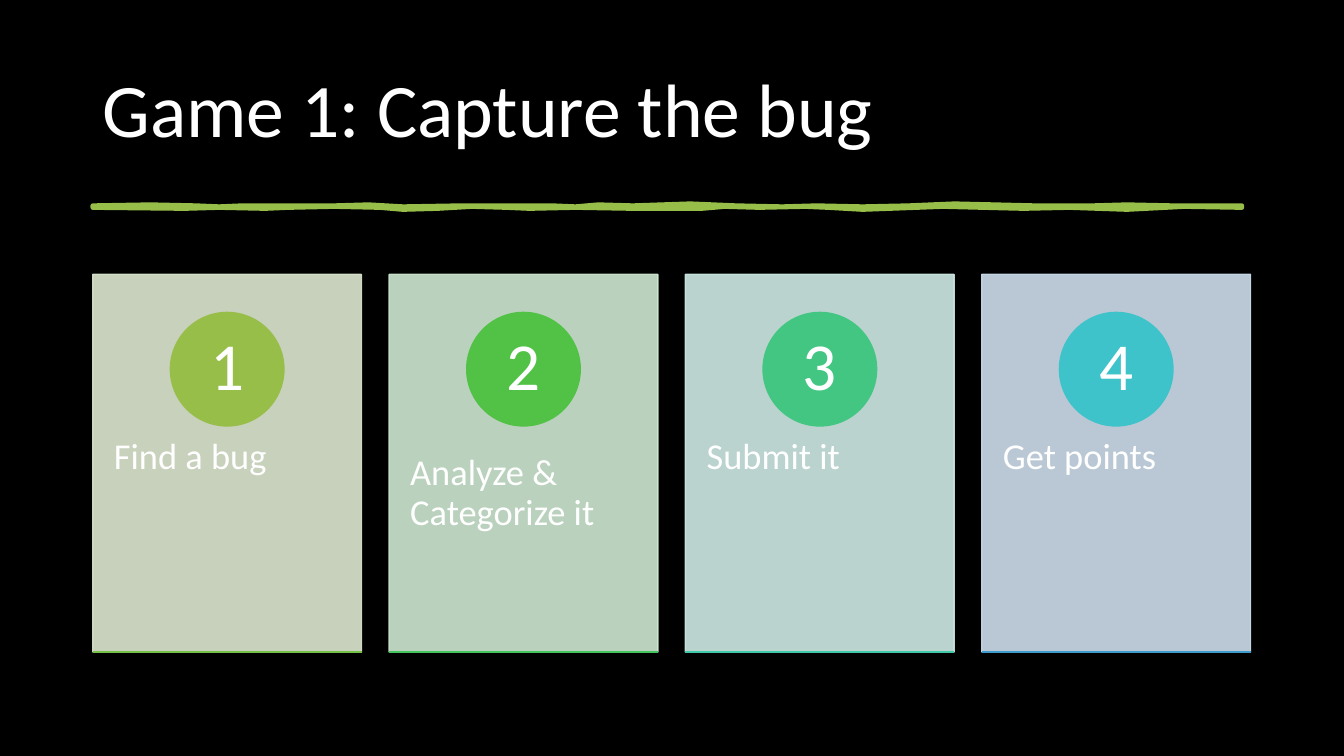
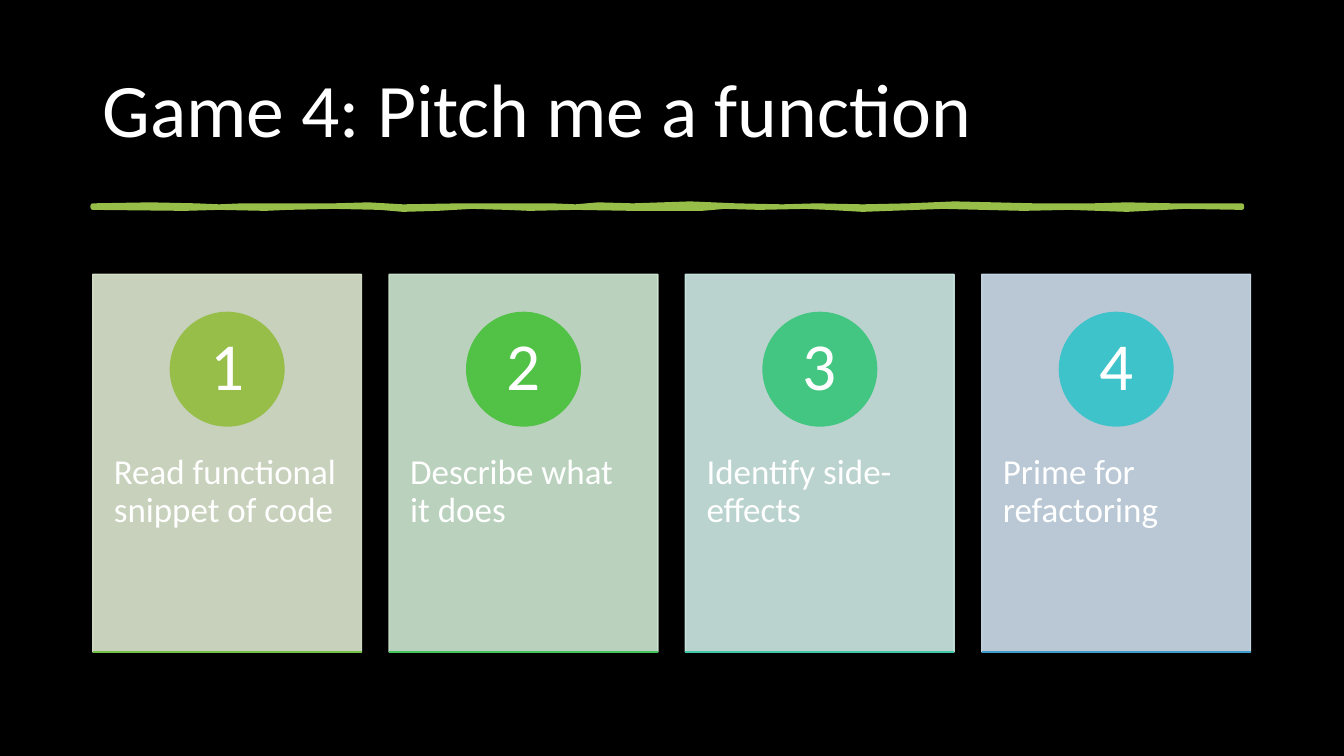
from lxml import etree
from pptx import Presentation
from pptx.dml.color import RGBColor
from pptx.enum.shapes import MSO_CONNECTOR, MSO_SHAPE
from pptx.enum.text import MSO_ANCHOR, PP_ALIGN
from pptx.oxml.ns import qn
from pptx.util import Inches, Pt

RECTANGLE, OVAL = MSO_SHAPE.RECTANGLE, MSO_SHAPE.OVAL
STRAIGHT = MSO_CONNECTOR.STRAIGHT
LEFT, CENTER = PP_ALIGN.LEFT, PP_ALIGN.CENTER
TOP, MIDDLE = MSO_ANCHOR.TOP, MSO_ANCHOR.MIDDLE

# Card fill, circle and base line of each step
STEP_COLORS = [
    ("DDE8D0", "97BE49", "75C047"),
    ("CFE9D2", "51C246", "44C45C"),
    ("CFEBE5", "42C681", "40C8A8"),
    ("CEDEEC", "3FC3CA", "3D9CCC"),
]

# Edges of the hand-drawn rule: percent of its length, steps of its height
RULE_UPPER = [
    (0, 0), (5, -1), (9, 0), (11, 1), (13, 0), (21, 0), (24, -1), (27, 1),
    (32, 0), (40, 0), (42, 1), (44, -1), (47, 0), (52, -2), (56, 0), (60, 1),
    (63, 0), (67, 1), (71, 0), (75, -2), (82, 0), (87, 0), (90, -1), (94, 0),
    (100, 0),
]
RULE_LOWER = [
    (100, 2), (95, 1), (90, 4), (85, 2), (81, 3), (74, 1), (67, 4), (64, 2),
    (62, 1), (58, 2), (55, 1), (53, 3), (47, 3), (42, 2), (38, 3), (36, 2),
    (33, 1), (30, 3), (27, 4), (25, 2), (21, 1), (17, 2), (15, 3), (11, 2),
    (8, 3), (0, 2),
]


def color(value):
    return RGBColor.from_string(value)


def set_opacity(solid_fill, percent):
    alpha = etree.SubElement(solid_fill[0], qn("a:alpha"))
    alpha.set("val", str(percent * 1000))


class Deck:
    """Style and current slide; all places are percentages of the slide size."""

    FONT = "Calibri"
    BACKGROUND, TEXT, ACCENT = "000000", "FFFFFF", "97BE49"
    MARGIN, COLUMN, PITCH = 6.9, 20, 22.05
    CARD_TOP, CARD_BOTTOM = 36.3, 86.25

    def __init__(self):
        self.presentation = Presentation()
        self.presentation.slide_width = Inches(13.33)
        self.presentation.slide_height = Inches(7.5)
        self.slide = None

    def x(self, percent):
        return round(self.presentation.slide_width * percent / 100)

    def y(self, percent):
        return round(self.presentation.slide_height * percent / 100)

    def box(self, left, top, width, height):
        return self.x(left), self.y(top), self.x(width), self.y(height)

    def add_slide(self, title):
        self.slide = self.presentation.slides.add_slide(
            self.presentation.slide_layouts[6])
        fill = self.slide.background.fill
        fill.solid()
        fill.fore_color.rgb = color(self.BACKGROUND)
        self.text((self.MARGIN, 5.33, 86.25, 19.33), title, 54, anchor=MIDDLE)
        self.rule()

    def set_text(self, shape, text, size, align=LEFT, anchor=TOP, insets=(0.1, 0.05)):
        frame = shape.text_frame
        frame.word_wrap = True
        frame.vertical_anchor = anchor
        frame.margin_left = frame.margin_right = Inches(insets[0])
        frame.margin_top = frame.margin_bottom = Inches(insets[1])
        frame.text = text
        paragraph = frame.paragraphs[0]
        paragraph.alignment = align
        paragraph.line_spacing = 0.9
        font = paragraph.runs[0].font
        font.name, font.size = self.FONT, Pt(size)
        font.color.rgb = color(self.TEXT)

    def text(self, place, text, size, **layout):
        self.set_text(self.slide.shapes.add_textbox(*self.box(*place)),
                      text, size, **layout)

    def paint(self, shape, value, line_width=1, opacity=100):
        shape.shadow.inherit = False
        shape.fill.solid()
        shape.fill.fore_color.rgb = color(value)
        shape.line.color.rgb = color(value)
        shape.line.width = Pt(line_width)
        if opacity < 100:
            for solid_fill in shape.element.spPr.iter(qn("a:solidFill")):
                set_opacity(solid_fill, opacity)

    def shape(self, kind, place, value, opacity=100):
        shape = self.slide.shapes.add_shape(kind, *self.box(*place))
        self.paint(shape, value, opacity=opacity)
        return shape

    def rule(self):
        """Draw the wavy rule under the title."""
        length, top, step = 85.5, 27.2, 0.13
        points = [(self.x(self.MARGIN + length * along / 100),
                   self.y(top + step * offset))
                  for along, offset in RULE_UPPER + RULE_LOWER]
        builder = self.slide.shapes.build_freeform(*points[0])
        builder.add_line_segments(points[1:])
        self.paint(builder.convert_to_shape(), self.ACCENT, line_width=3.25)

    def line(self, left, top, width, value):
        connector = self.slide.shapes.add_connector(
            STRAIGHT, self.x(left), self.y(top), self.x(left + width), self.y(top))
        connector.line.color.rgb = color(value)
        connector.line.width = Pt(1)
        etree.SubElement(connector.element.spPr, qn("a:effectLst"))

    def card(self, index, text, size):
        card_color, circle_color, base_color = STEP_COLORS[index]
        left = self.MARGIN + index * self.PITCH
        self.shape(RECTANGLE, (left, self.CARD_TOP, self.COLUMN,
                               self.CARD_BOTTOM - self.CARD_TOP),
                   card_color, opacity=90)
        self.text((left, 55.33, self.COLUMN, 30), text, size, insets=(0.21, 0.36))
        diameter = 8.45
        circle = self.shape(
            OVAL, (left + (self.COLUMN - diameter) / 2, 41.33, diameter, 15.02),
            circle_color)
        self.set_text(circle, str(index + 1), 48, CENTER, MIDDLE, (0.09, 0.01))
        self.line(left, self.CARD_BOTTOM, self.COLUMN, base_color)

    def steps_slide(self, title, steps, size):
        self.add_slide(title)
        for index, step in enumerate(steps):
            self.card(index, step, size)


def main():
    deck = Deck()
    deck.steps_slide(
        "Game 1: Capture the bug",
        ["Find a bug", "Analyze & Categorize it", "Submit it", "Get points"], 26)
    deck.steps_slide(
        "Game 4: Pitch me a function",
        ["Read functional snippet of code", "Describe what it does",
         "Identify side-effects", "Prime for refactoring"], 25)
    deck.presentation.save("out.pptx")


if __name__ == "__main__":
    main()
